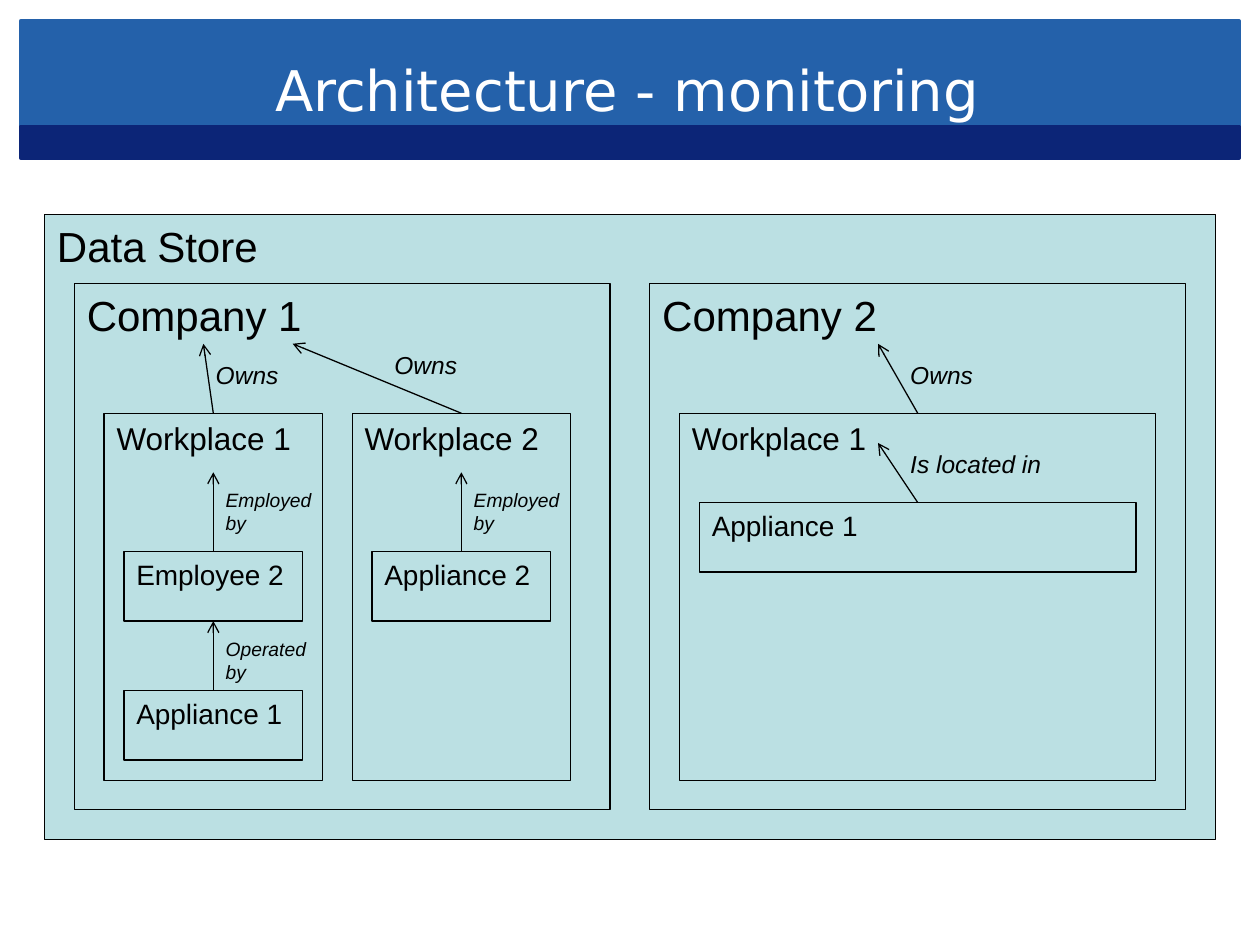
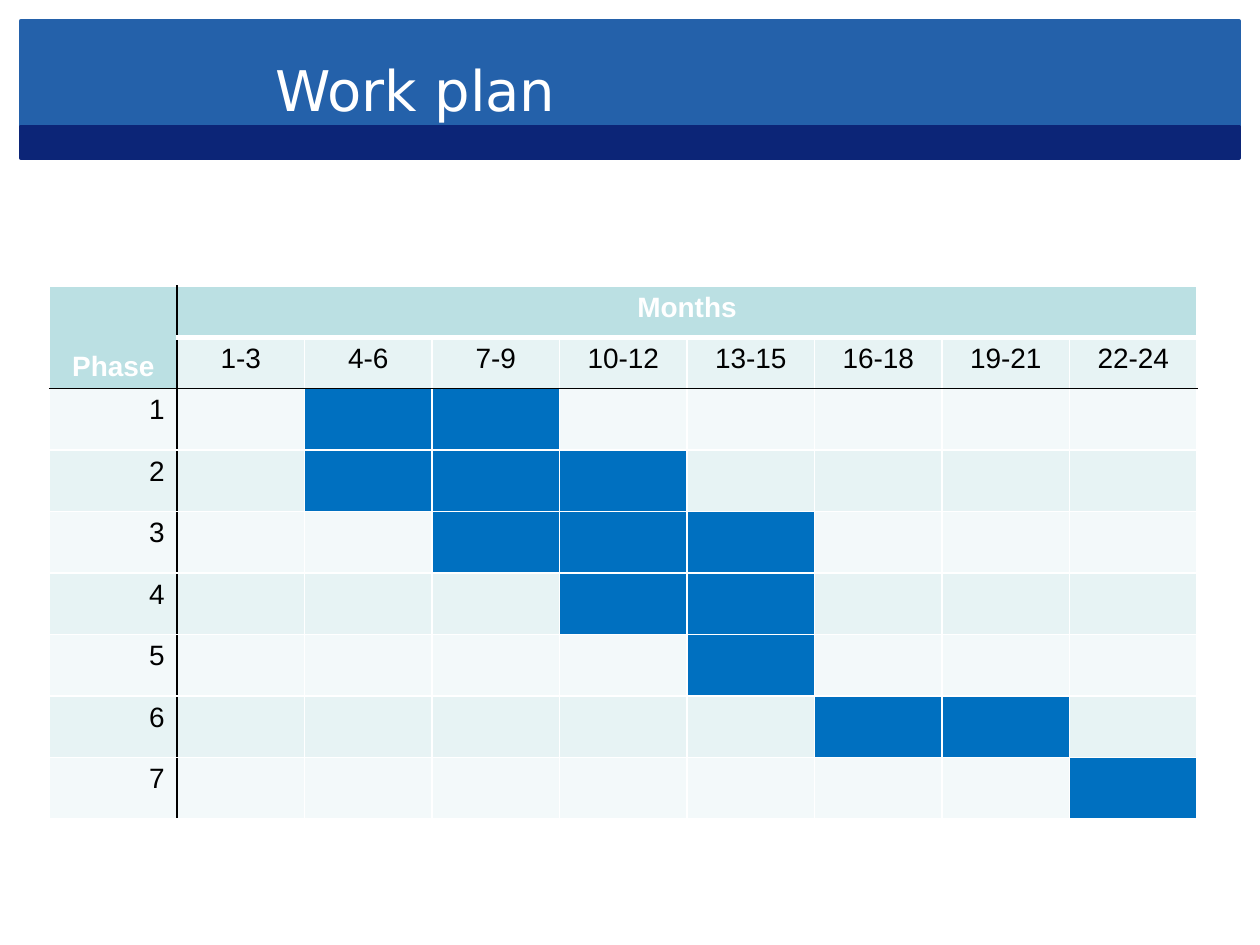
from dataclasses import dataclass

from lxml.etree import SubElement
from pptx import Presentation
from pptx.dml.color import RGBColor
from pptx.enum.shapes import MSO_CONNECTOR, MSO_SHAPE
from pptx.enum.text import MSO_ANCHOR, MSO_AUTO_SIZE, PP_ALIGN
from pptx.oxml.ns import qn
from pptx.util import Cm, Pt


@dataclass(frozen=True)
class Theme:
    band: str = "2461AA"
    strip: str = "0C2577"
    box: str = "BBE0E3"
    pale: str = "F3F9FA"
    tint: str = "E7F3F4"
    busy: str = "0070C0"
    ink: str = "000000"
    white: str = "FFFFFF"
    font: str = "Arial"
    head: str = "DejaVu Sans"
    title: int = 32
    large: int = 24
    mid: int = 18
    body: int = 16
    note: int = 14
    small: int = 11


T = Theme()

# Bands: colour, top, height
BANDS = [(T.band, 0.42, 2.13), (T.strip, 2.55, 0.64)]

# Links: label, label size, label width, label height,
# then arrow tip and label corner as (shift, rise) from the box's top centre
OWNS = ("Owns", T.note, 1.78, 0.86)
IN = ("Is located in", T.note, 3.18, 0.86)
JOB = ("Employed by", T.small, 2.4, 1.2)
RUN = ("Operated by", T.small, 2.4, 1.2)

# Boxes nest: company (left), workplaces (left, width), parts (top)
STORE = ("Data Store", 0.9, 4.32, 23.6, 12.6)
FIRMS = [
    ("Company 1", 1.5, [
        ("Workplace 1", 2.1, 4.4, (OWNS, (-0.2, 1.4), (-0.2, 1.2)), [
            ("Employee 2", 11.12, (JOB, (0, 1.6), (0, 1.4))),
            ("Appliance 1", 13.92, (RUN, (0, 1.4), (0, 1.2))),
        ]),
        ("Workplace 2", 7.1, 4.4, (OWNS, (-3.4, 1.4), (-1.6, 1.4)), [
            ("Appliance 2", 11.12, (JOB, (0, 1.6), (0, 1.4))),
        ]),
    ]),
    ("Company 2", 13.1, [
        ("Workplace 1", 13.7, 9.6, (OWNS, (-0.8, 1.4), (-0.4, 1.2)), [
            ("Appliance 1", 10.13, (IN, (-0.8, 1.2), (-0.4, 1.2))),
        ]),
    ]),
]
FIRM_TOP, FIRM_W, FIRM_H = 5.72, 10.8, 10.6
PLACE_TOP, PLACE_H = 8.33, 7.4
PART_H, INSET = 1.4, 0.4

# Work plan: first and last busy column of each phase
MONTHS = ["1-3", "4-6", "7-9", "10-12", "13-15", "16-18", "19-21", "22-24"]
PHASES = [(2, 3), (2, 4), (3, 5), (4, 5), (5, 5), (6, 7), (8, 8)]
GRID_X, GRID_Y, COL_W = 1.0, 5.77, 2.57
HEAD_H, ROW_H = 1.03, 1.24


def rgb(hue):
    return RGBColor.from_string(hue)


def write(frame, text, size=T.body, hue=T.ink, font=T.font, bold=False,
          italic=False, align=PP_ALIGN.LEFT, anchor=MSO_ANCHOR.TOP, wrap=True):
    frame.word_wrap = wrap
    frame.vertical_anchor = anchor
    line = frame.paragraphs[0]
    line.alignment = align
    run = line.add_run()
    run.text = text
    face = run.font
    face.name, face.size, face.bold, face.italic = font, Pt(size), bold, italic
    face.color.rgb = rgb(hue)


def rect(slide, x, y, w, h, fill, edge=T.ink, width=0.75):
    shape = slide.shapes.add_shape(
        MSO_SHAPE.RECTANGLE, Cm(x), Cm(y), Cm(w), Cm(h))
    shape.shadow.inherit = False
    shape.fill.solid()
    shape.fill.fore_color.rgb = rgb(fill)
    shape.line.color.rgb = rgb(edge)
    shape.line.width = Pt(width)
    return shape


def box(slide, text, x, y, w, h, size):
    write(rect(slide, x, y, w, h, T.box).text_frame, text, size=size)


def arrow(slide, x, y, tip_x, tip_y):
    line = slide.shapes.add_connector(
        MSO_CONNECTOR.STRAIGHT, Cm(x), Cm(y), Cm(tip_x), Cm(tip_y))
    line.line.color.rgb = rgb(T.ink)
    line.line.width = Pt(0.75)
    SubElement(line.line._get_or_add_ln(), qn("a:tailEnd"), type="arrow")
    SubElement(line.element.spPr, qn("a:effectLst"))


def link(slide, x, y, label, tip, note):
    """Draw an arrow up from (x, y) and its label."""
    arrow(slide, x, y, x + tip[0], y - tip[1])
    text, size, w, h = label
    area = slide.shapes.add_textbox(
        Cm(x + note[0]), Cm(y - note[1]), Cm(w), Cm(h))
    write(area.text_frame, text, size=size, italic=True,
          wrap=size == T.small)


def brand(slide, layout):
    """Put the bands on the layout, behind every slide's content."""
    for spot, (hue, y, h) in enumerate(BANDS, start=2):
        band = rect(slide, 0.42, y, 24.56, h, hue, edge=hue, width=2)
        layout.shapes.element.insert(spot, band.element)


def start(deck, layout, text):
    """Add a slide with its title."""
    slide = deck.slides.add_slide(layout)
    title = slide.shapes.title
    title.left, title.top = Cm(5.29), Cm(0.42)
    title.width, title.height = Cm(19.69), Cm(2.75)
    title.text_frame.auto_size = MSO_AUTO_SIZE.NONE
    write(title.text_frame, text, size=T.title, hue=T.white, font=T.head,
          anchor=MSO_ANCHOR.MIDDLE)
    return slide


def draw_map(slide):
    box(slide, *STORE, T.large)
    links = []
    for firm, left, places in FIRMS:
        box(slide, firm, left, FIRM_TOP, FIRM_W, FIRM_H, T.large)
        for place, x, w, bond, parts in places:
            mid = x + w / 2
            box(slide, place, x, PLACE_TOP, w, PLACE_H, T.mid)
            links.append((mid, PLACE_TOP, *bond))
            for part, y, tie in parts:
                box(slide, part, x + INSET, y, w - 2 * INSET, PART_H, T.body)
                links.append((mid, y, *tie))
    for item in links:
        link(slide, *item)


def style(cell, row, col, fill):
    """Set a cell's borders by its place in the grid, then its fill."""
    edges = {
        "L": (T.ink if col == 1 else T.white, 1),
        "R": (T.ink if col == 0 else T.white, 1),
        "T": (T.ink if row == 2 else T.white, 1),
        "B": (T.ink if row == 1 or (row, col) == (0, 0) else T.white,
              3 if row == 0 and col else 1),
    }
    props = cell._tc.get_or_add_tcPr()
    for side, (hue, width) in edges.items():
        line = SubElement(props, qn(f"a:ln{side}"), w=str(Pt(width)))
        paint = SubElement(line, qn("a:solidFill"))
        SubElement(paint, qn("a:srgbClr"), val=hue)
    cell.fill.solid()
    cell.fill.fore_color.rgb = rgb(fill)


def shade(row, col):
    if row == 0 or (row == 1 and col == 0):
        return T.box
    if row > 1:
        first, last = PHASES[row - 2]
        if first <= col <= last:
            return T.busy
    return T.tint if row % 2 else T.pale


def draw_plan(slide):
    rows, cols = len(PHASES) + 2, len(MONTHS) + 1
    highs = [HEAD_H] * 2 + [ROW_H] * len(PHASES)
    grid = slide.shapes.add_table(
        rows, cols, Cm(GRID_X), Cm(GRID_Y),
        Cm(COL_W * cols), Cm(sum(highs))).table
    for row, high in zip(grid.rows, highs):
        row.height = Cm(high)
    for col in grid.columns:
        col.width = Cm(COL_W)
    for row in range(rows):
        for col in range(cols):
            style(grid.cell(row, col), row, col, shade(row, col))

    def put(row, col, text, align=PP_ALIGN.CENTER, **look):
        cell = grid.cell(row, col)
        cell.vertical_anchor = look.pop("anchor", MSO_ANCHOR.TOP)
        write(cell.text_frame, text, align=align, anchor=None, wrap=None,
              **look)

    grid.cell(0, 0).merge(grid.cell(1, 0))
    grid.cell(0, 1).merge(grid.cell(0, cols - 1))
    put(0, 0, "Phase", hue=T.white, bold=True, anchor=MSO_ANCHOR.BOTTOM)
    put(0, 1, "Months", hue=T.white, bold=True)
    for col, text in enumerate(MONTHS, start=1):
        put(1, col, text)
    for phase in range(1, len(PHASES) + 1):
        put(phase + 1, 0, str(phase), align=PP_ALIGN.RIGHT)


def main():
    deck = Presentation()
    deck.slide_width, deck.slide_height = Cm(25.4), Cm(19.05)
    layout = deck.slide_layouts[5]
    first = start(deck, layout, "Architecture - monitoring")
    brand(first, layout)
    draw_map(first)
    draw_plan(start(deck, layout, "Work plan"))
    deck.save("out.pptx")


if __name__ == "__main__":
    main()
